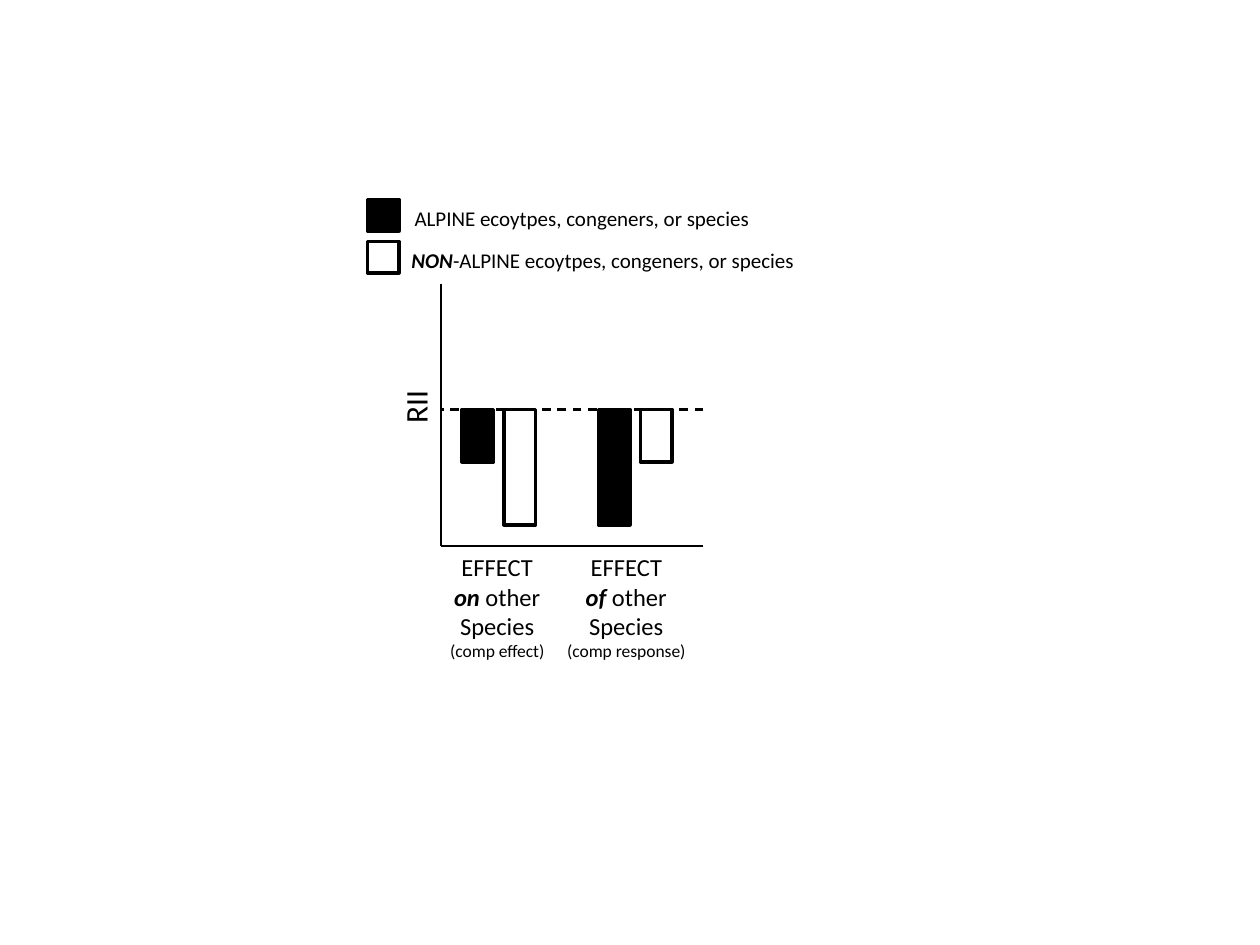
"""Build a slide sketching RII for alpine and non-alpine plants."""
from pptx import Presentation
from pptx import util as u
from pptx.dml.color import RGBColor
from pptx.enum import dml, shapes, text
from pptx.oxml.ns import qn
from lxml import etree

PX = 7620
BLACK = RGBColor(0, 0, 0)
WHITE = RGBColor(255, 255, 255)

prs = Presentation()
prs.slide_width, prs.slide_height = 1200 * PX, 900 * PX
slide = prs.slides.add_slide(prs.slide_layouts[6])


def add_box(left, top, height, fill):
    box = slide.shapes.add_shape(
        shapes.MSO_SHAPE.RECTANGLE, left * PX, top * PX, 30 * PX, height * PX)
    box.shadow.inherit = False
    box.fill.solid()
    box.fill.fore_color.rgb = fill
    box.line.color.rgb = BLACK
    box.line.width = u.Pt(2)


def add_label(left, top, width, height, lines, align):
    label = slide.shapes.add_textbox(left * PX, top * PX, width * PX, height * PX)
    frame = label.text_frame
    frame.word_wrap = False
    frame.auto_size = text.MSO_AUTO_SIZE.SHAPE_TO_FIT_TEXT
    for i, (size, strong, plain) in enumerate(lines):
        line = frame.add_paragraph() if i else frame.paragraphs[0]
        line.alignment = align
        line.font.size = u.Pt(size)
        line.font.name = "Calibri"
        line.font.color.rgb = BLACK
        if strong:
            emphasis = line.add_run()
            emphasis.text = strong
            emphasis.font.bold = emphasis.font.italic = True
        line.add_run().text = plain
    return label


for x1, y1, x2, y2, dash in [
    (420, 270, 420, 520, None),
    (670, 520, 420, 520, None),
    (670, 390, 420, 390, dml.MSO_LINE.DASH),
]:
    axis = slide.shapes.add_connector(
        shapes.MSO_CONNECTOR.STRAIGHT, x1 * PX, y1 * PX, x2 * PX, y2 * PX)
    axis.line.color.rgb = BLACK
    axis.line.width = u.Pt(1.25)
    if dash:
        axis.line.dash_style = dash
    etree.SubElement(axis._element.spPr, qn("a:effectLst"))

axis_title = add_label(368, 364, 55, 48, [(18, "", "RII")], text.PP_ALIGN.RIGHT)
axis_title.rotation = 270

for bar_left, alpine, non_alpine, label_left, label_width, word, note in [
    (440, 50, 110, 415, 117, "on", "(comp effect)"),
    (570, 110, 50, 527, 139, "of", "(comp response)"),
]:
    add_box(bar_left, 390, alpine, BLACK)
    add_box(bar_left + 40, 390, non_alpine, WHITE)
    category = [(14, "", "EFFECT"), (14, word, " other"), (14, "", "Species"), (10, "", note)]
    add_label(label_left, 520, label_width, 118, category, text.PP_ALIGN.CENTER)

for top, fill, left, width, strong, plain in [
    (190, BLACK, 383, 347, "", "ALPINE"),
    (230, WHITE, 380, 392, "NON", "-ALPINE"),
]:
    add_box(350, top, 30, fill)
    entry = [(12, strong, plain + " ecoytpes, congeners, or species")]
    add_label(left, top, width, 36, entry, text.PP_ALIGN.LEFT)

prs.save("out.pptx")
